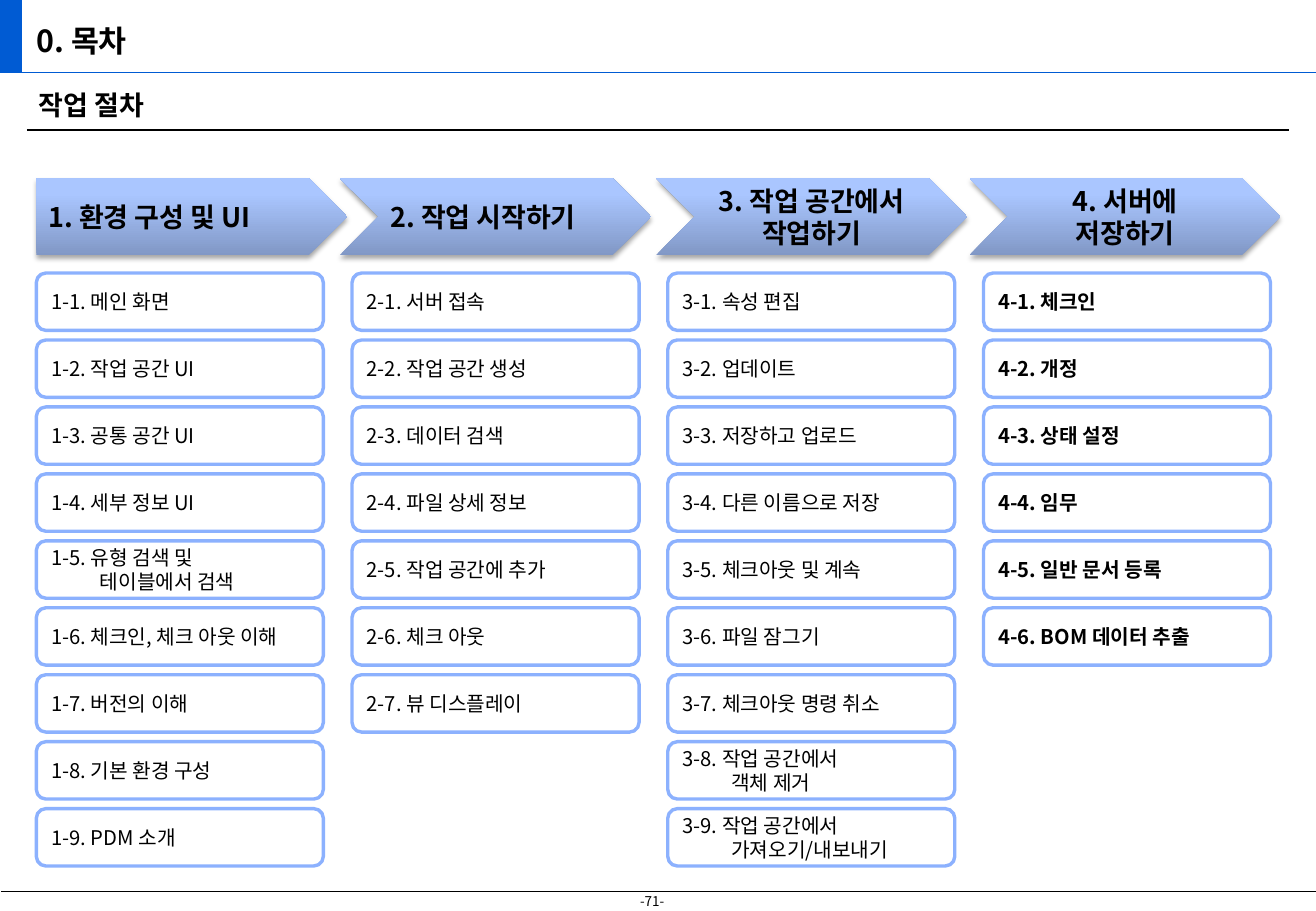
from copy import deepcopy
from dataclasses import dataclass

from lxml.etree import SubElement
from pptx import Presentation
from pptx.dml.color import RGBColor
from pptx.enum.shapes import MSO_CONNECTOR, MSO_SHAPE
from pptx.enum.text import MSO_ANCHOR, MSO_AUTO_SIZE, PP_ALIGN
from pptx.oxml.ns import qn
from pptx.shapes.autoshape import Shape
from pptx.slide import Slide
from pptx.text.text import TextFrame
from pptx.util import Cm, Pt

FONT = "Noto Sans CJK KR"
COLORS = {
    "text": "000000",
    "accent": "005BD3",
    "box": "FFFFFF",
    "border": "8CB1FE",
    "shadow": "000000",
    "arrow_bottom": "8198C6",
    "arrow_middle": "AAC6FF",
    "arrow_top": "ACC7FF",
}
ARROW_STOPS = [(0, "arrow_bottom"), (0.8, "arrow_middle"), (1, "arrow_top")]
ARROW_TOP, ARROW_WIDTH, ARROW_HEIGHT = 3.73, 6.5, 1.6
BOX_LEFT, BOX_TOP, BOX_WIDTH, BOX_HEIGHT = 0.76, 5.71, 6, 1.2
COLUMN_PITCH, ROW_PITCH = 6.6, 1.4
HANGING = 1.02


@dataclass
class Stage:
    title: str
    arrow_left: float
    steps: list[str]
    arrow: MSO_SHAPE = MSO_SHAPE.CHEVRON
    align: PP_ALIGN = PP_ALIGN.LEFT
    bold: bool = False


@dataclass
class Rule:
    left: float
    right: float
    top: float
    color: str


STAGES = [
    Stage("1. 환경 구성 및 UI", 0.76, [
        "메인 화면", "작업 공간 UI", "공통 공간 UI", "세부 정보 UI",
        "유형 검색 및\n테이블에서 검색", "체크인, 체크 아웃 이해",
        "버전의 이해", "기본 환경 구성", "PDM 소개",
    ], arrow=MSO_SHAPE.PENTAGON),
    Stage("2. 작업 시작하기", 7.11, [
        "서버 접속", "작업 공간 생성", "데이터 검색", "파일 상세 정보",
        "작업 공간에 추가", "체크 아웃", "뷰 디스플레이",
    ]),
    Stage("3. 작업 공간에서\n작업하기", 13.72, [
        "속성 편집", "업데이트", "저장하고 업로드", "다른 이름으로 저장",
        "체크아웃 및 계속", "파일 잠그기", "체크아웃 명령 취소",
        "작업 공간에서\n객체 제거", "작업 공간에서\n가져오기/내보내기",
    ], align=PP_ALIGN.CENTER),
    Stage("4. 서버에\n저장하기", 20.27, [
        "체크인", "개정", "상태 설정", "임무", "일반 문서 등록", "BOM 데이터 추출",
    ], align=PP_ALIGN.CENTER, bold=True),
]
RULES = [
    Rule(0, 27.51, 1.52, "accent"),
    Rule(0.03, 27.51, 18.64, "text"),
    Rule(0.56, 26.95, 2.72, "text"),
]


def rgb(name: str) -> RGBColor:
    return RGBColor.from_string(COLORS[name])


def write(tf: TextFrame, text: str, size: float, bold: bool = False,
          align: PP_ALIGN = PP_ALIGN.LEFT) -> None:
    tf.text = text
    for p in tf.paragraphs:
        p.alignment = align
        for r in p.runs:
            r.font.name = FONT
            r.font.size = Pt(size)
            r.font.bold = bold
            r.font.color.rgb = rgb("text")
            SubElement(r.font._element, qn("a:ea"), typeface=FONT)


def add_rule(slide: Slide, rule: Rule) -> None:
    line = slide.shapes.add_connector(
        MSO_CONNECTOR.STRAIGHT, Cm(rule.left), Cm(rule.top), Cm(rule.right), Cm(rule.top))
    line.line.color.rgb = rgb(rule.color)
    line.line.width = Pt(0.75)
    SubElement(line._element.spPr, qn("a:effectLst"))


def add_text(slide: Slide, left: float, top: float, width: float, height: float,
             text: str, size: float, bold: bool, wrap: bool) -> None:
    tf = slide.shapes.add_textbox(Cm(left), Cm(top), Cm(width), Cm(height)).text_frame
    tf.word_wrap = wrap
    tf.auto_size = MSO_AUTO_SIZE.SHAPE_TO_FIT_TEXT
    write(tf, text, size, bold)


def add_panel(slide: Slide, kind: MSO_SHAPE, left: float, top: float,
              width: float, height: float) -> Shape:
    s = slide.shapes.add_shape(kind, Cm(left), Cm(top), Cm(width), Cm(height))
    s.shadow.inherit = False
    s.line.fill.background()
    s.text_frame.vertical_anchor = MSO_ANCHOR.MIDDLE
    return s


def add_arrow(slide: Slide, stage: Stage) -> None:
    s = add_panel(slide, stage.arrow, stage.arrow_left, ARROW_TOP, ARROW_WIDTH, ARROW_HEIGHT)
    s.fill.gradient()
    s.fill.gradient_angle = 90
    spPr = s._element.spPr
    stops = spPr.find(".//" + qn("a:gsLst"))
    stops.append(deepcopy(stops[0]))
    for stop, (position, color) in zip(s.fill.gradient_stops, ARROW_STOPS):
        stop.position = position
        stop.color.rgb = rgb(color)
    shadow = SubElement(spPr.find(qn("a:effectLst")), qn("a:outerShdw"),
                        blurRad=str(Pt(3.1)), dist=str(Pt(1.8)), dir="5400000", rotWithShape="0")
    shade = SubElement(shadow, qn("a:srgbClr"), val=COLORS["shadow"])
    SubElement(shade, qn("a:alpha"), val="35000")
    write(s.text_frame, stage.title, 16, True, stage.align)


def add_step(slide: Slide, column: int, row: int, text: str, bold: bool) -> None:
    s = add_panel(slide, MSO_SHAPE.FLOWCHART_ALTERNATE_PROCESS,
                  BOX_LEFT + column * COLUMN_PITCH, BOX_TOP + row * ROW_PITCH,
                  BOX_WIDTH, BOX_HEIGHT)
    s.fill.solid()
    s.fill.fore_color.rgb = rgb("box")
    s.line.color.rgb = rgb("border")
    s.line.width = Pt(2)
    write(s.text_frame, f"{column + 1}-{row + 1}. {text}", 12, bold)
    for p in s.text_frame.paragraphs[1:]:
        p._p.get_or_add_pPr().set("marL", str(Cm(HANGING)))


def add_title(slide: Slide, text: str) -> None:
    title = slide.shapes.title
    title.left, title.top, title.width, title.height = Cm(0.56), Cm(0.36), Cm(13.59), Cm(0.97)
    tf = title.text_frame
    tf.margin_left = tf.margin_right = Cm(0.2)
    tf.margin_top = tf.margin_bottom = Cm(0.1)
    tf.vertical_anchor = MSO_ANCHOR.TOP
    tf.auto_size = MSO_AUTO_SIZE.SHAPE_TO_FIT_TEXT
    write(tf, text, 18, True)


def main() -> None:
    prs = Presentation()
    prs.slide_width, prs.slide_height = Cm(27.51), Cm(19.05)
    slide = prs.slides.add_slide(prs.slide_layouts[5])
    add_title(slide, "0. 목차")
    add_text(slide, 13.13, 18.54, 1.12, 0.61, "-71-", 8, False, False)
    marker = add_panel(slide, MSO_SHAPE.RECTANGLE, 0, 0, 0.46, 1.52)
    marker.fill.solid()
    marker.fill.fore_color.rgb = rgb("accent")
    add_text(slide, 0.56, 1.73, 26.01, 0.94, "작업 절차", 16, True, True)
    for rule in RULES:
        add_rule(slide, rule)
    for column, stage in enumerate(STAGES):
        add_arrow(slide, stage)
        for row, step in enumerate(stage.steps):
            add_step(slide, column, row, step, stage.bold)
    prs.save("out.pptx")


if __name__ == "__main__":
    main()
